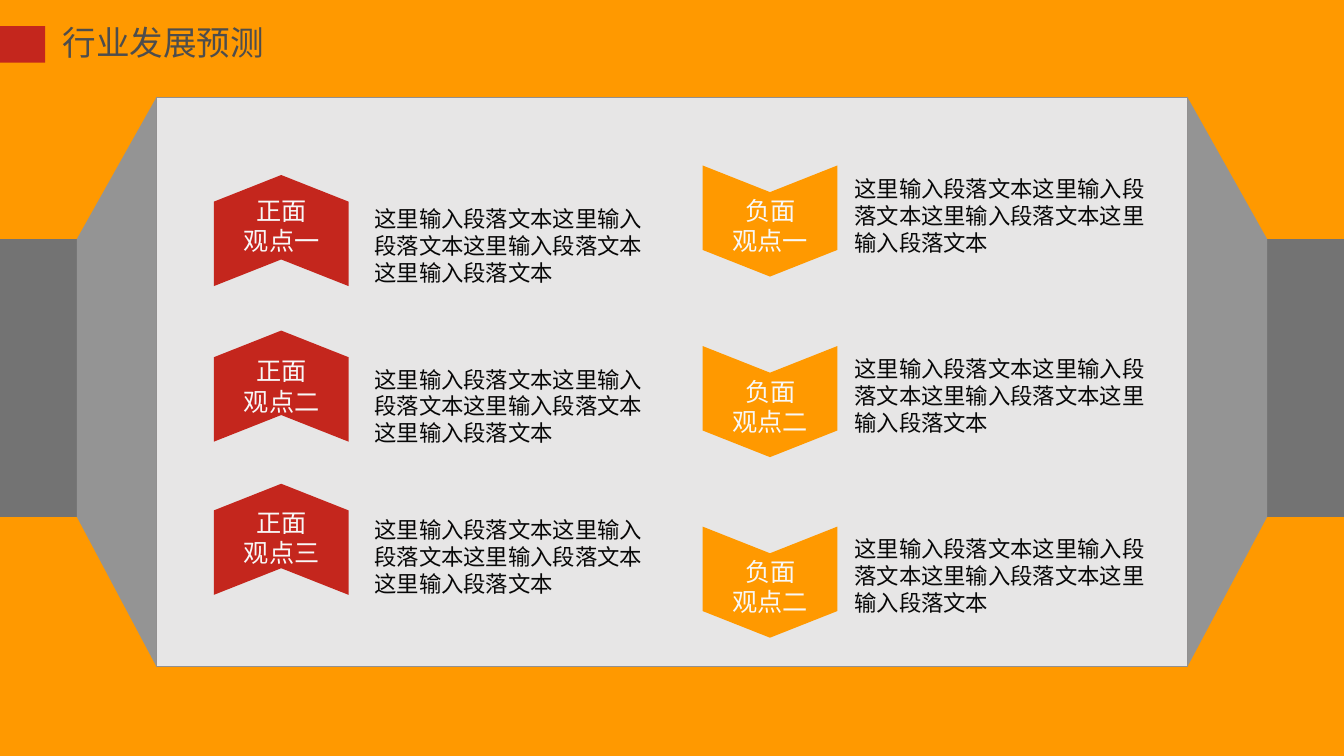
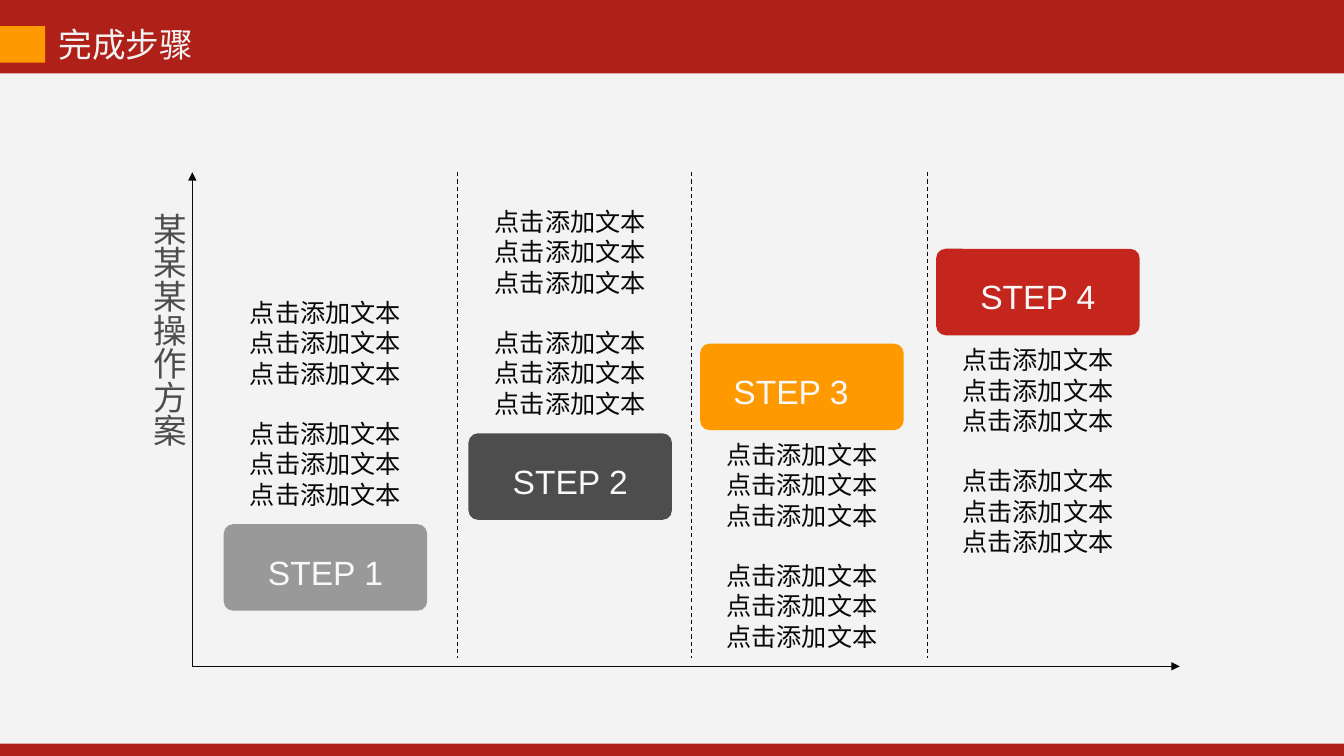
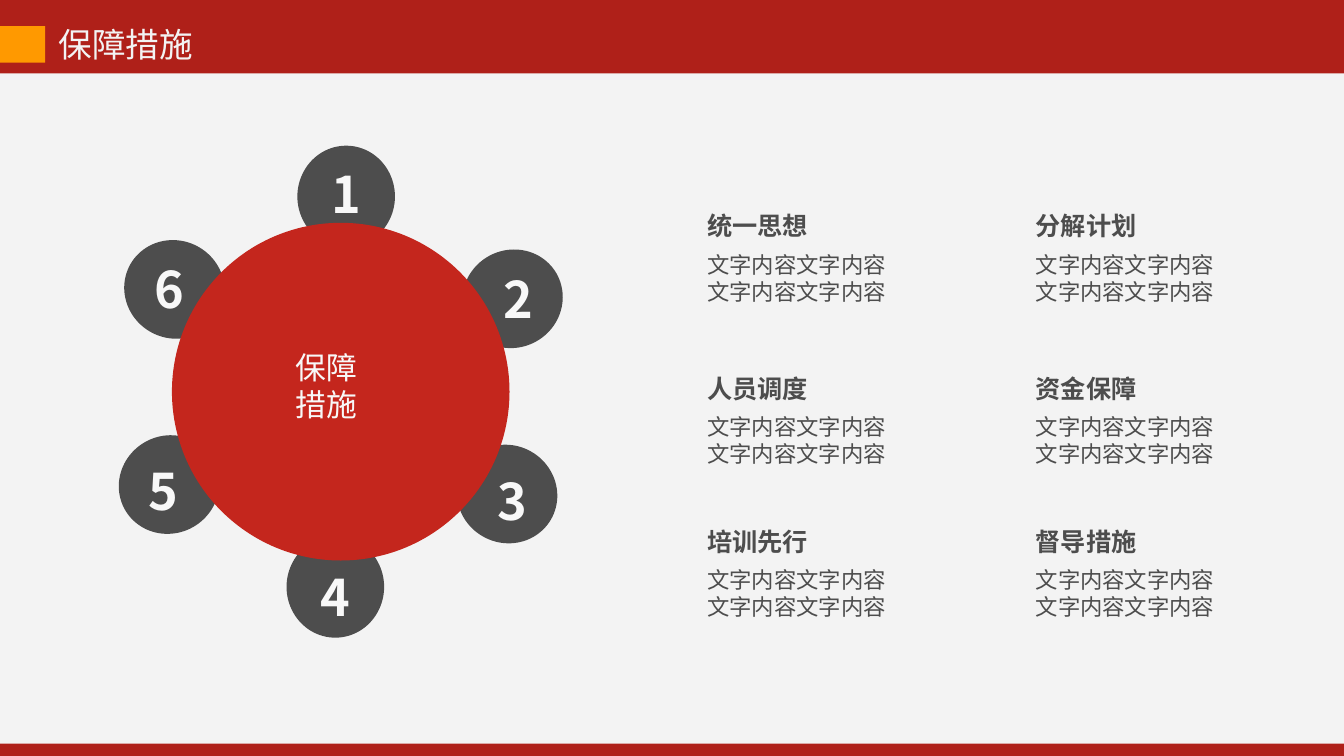
from math import cos, radians, sin

from lxml import etree
from pptx import Presentation
from pptx.dml.color import RGBColor
from pptx.enum.dml import MSO_LINE
from pptx.enum.shapes import MSO_CONNECTOR, MSO_SHAPE
from pptx.enum.text import MSO_ANCHOR, MSO_AUTO_SIZE, PP_ALIGN
from pptx.oxml.ns import qn
from pptx.util import Cm, Pt

RECT, ROUND = MSO_SHAPE.RECTANGLE, MSO_SHAPE.ROUNDED_RECTANGLE
OVAL, CHEVRON = MSO_SHAPE.OVAL, MSO_SHAPE.CHEVRON
LINE, DASH = MSO_CONNECTOR.STRAIGHT, MSO_LINE.DASH
LEFT, CENTER = PP_ALIGN.LEFT, PP_ALIGN.CENTER
TOP, MIDDLE = MSO_ANCHOR.TOP, MSO_ANCHOR.MIDDLE
FIXED = MSO_AUTO_SIZE.NONE

WIDE, HIGH = 33.88, 19.05
HAN, LATIN = "Noto Sans CJK SC", "Arial"
LEAD = 1.2  # line height in ems
COLORS = {
    "red": "C4261D", "band": "AF2019", "orange": "FF9900",
    "dark": "4D4D4D", "gray": "999999", "strip": "737373",
    "wing": "949494", "board": "E7E6E6", "edge": "929090",
    "paper": "F3F3F3", "white": "F8F8F8", "ink": "080808",
}


def color(name):
    return RGBColor.from_string(COLORS[name])


# Basic elements
def paint(shape, fill, edge=None):
    shape.shadow.inherit = False
    shape.fill.solid()
    shape.fill.fore_color.rgb = color(fill)
    if edge:
        shape.line.color.rgb = color(edge)
        shape.line.width = Pt(0.75)
    else:
        shape.line.fill.background()
    return shape


def block(slide, kind, x, y, w, h, fill, edge=None, turn=0, adjust=None):
    shape = slide.shapes.add_shape(kind, Cm(x), Cm(y), Cm(w), Cm(h))
    shape.rotation = turn
    if adjust is not None:
        shape.adjustments[0] = adjust
    return paint(shape, fill, edge)


def outline(slide, points, fill):
    (x, y), *rest = [(Cm(a), Cm(b)) for a, b in points]
    pen = slide.shapes.build_freeform(x, y)
    pen.add_line_segments(rest, close=True)
    return paint(pen.convert_to_shape(), fill)


def write(shape, lines, size, tint, align=LEFT, bold=False, font=HAN,
          wrap=True, anchor=TOP, gaps=()):
    """Fill a shape, one paragraph a line; gaps lists lines set one line lower."""
    frame = shape.text_frame
    frame.auto_size = FIXED
    frame.word_wrap = wrap
    frame.vertical_anchor = anchor
    for i, line in enumerate(lines):
        para = frame.add_paragraph() if i else frame.paragraphs[0]
        para.alignment = align
        para.line_spacing = Pt(size * LEAD)
        para.space_before = Pt(size * LEAD if i in gaps else 0)
        run = para.add_run()
        run.text = line
        run.font.size = Pt(size)
        run.font.bold = bold
        run.font.name = font
        run.font.color.rgb = color(tint)
        east = etree.SubElement(run.font._element, qn("a:ea"))
        east.set("typeface", font)
    return frame


def label(slide, x, y, w, h, lines, size, tint, **style):
    box = slide.shapes.add_textbox(Cm(x), Cm(y), Cm(w), Cm(h))
    return write(box, lines, size, tint, **style)


def rule(slide, x1, y1, x2, y2, arrow=False):
    line = slide.shapes.add_connector(LINE, Cm(x1), Cm(y1), Cm(x2), Cm(y2))
    line.line.color.rgb = color("ink")
    line.line.width = Pt(0.75)
    if arrow:
        tail = etree.SubElement(line.line._get_or_add_ln(), qn("a:tailEnd"))
        tail.set("type", "triangle")
    else:
        line.line.dash_style = DASH
    etree.SubElement(line._element.spPr, qn("a:effectLst"))


# Shared frame of the slides
def start(deck, title, back, tag, tint, x, y):
    slide = deck.slides.add_slide(deck.slide_layouts[5])
    slide.background.fill.solid()
    slide.background.fill.fore_color.rgb = color(back)
    head = slide.shapes.title
    head.left, head.top, head.width, head.height = Cm(x), Cm(y), Cm(12), Cm(1.27)
    write(head, [title], 24, tint)
    block(slide, RECT, 0, 0.66, 1.14, 0.92, tag)
    return slide


def page(deck, title):
    slide = start(deck, title, "band", "orange", "paper", 1.22, 0.48)
    block(slide, RECT, 0, 1.85, WIDE, 16.89, "paper")
    return slide


# Slide 1: views for and against
def view(slide, name, x, turn, fill, body_x, body_w, tops):
    body = "这里输入段落文本" * 4
    for number, (mark_y, name_y, body_y) in tops:
        block(slide, CHEVRON, x, mark_y, 2.8, 3.4, fill, turn=turn, adjust=0.24)
        label(slide, x + 0.19, name_y, 2.44, 1.8, [name, "观点" + number],
              18, "white", align=CENTER, wrap=False)
        label(slide, body_x, body_y, body_w, 2.31, [body], 16, "ink")


def outlook(deck):
    slide = start(deck, "行业发展预测", "orange", "red", "dark", 1.32, 0.43)
    strip = [(0, 6.02), (1.94, 6.02), (1.94, 13.03), (0, 13.03)]
    wing = [(3.94, 2.46), (1.94, 6.02), (1.94, 13.03), (3.94, 16.79)]
    for points, fill in ((strip, "strip"), (wing, "wing")):
        outline(slide, points, fill)
        outline(slide, [(WIDE - x, y) for x, y in points], fill)
    block(slide, RECT, 3.94, 2.46, 26, 14.33, "board", "edge")

    good = [(4.11, 4.8, 5.05), (8.03, 8.84, 9.09), (11.89, 12.65, 12.88)]
    bad = [(3.87 + 4.55 * i, 4.8 + 4.55 * i, 4.3 + 4.53 * i) for i in range(3)]
    view(slide, "正面", 5.69, 270, "red", 9.19, 7.37, zip("一二三", good))
    view(slide, "负面", 18.01, 90, "orange", 21.29, 7.87, zip("一二二", bad))


# Slide 2: rising steps between two axes
def steps(deck):
    slide = page(deck, "完成步骤")
    left, base, top = 4.85, 16.79, 4.34
    rule(slide, left, base, left, top, arrow=True)
    rule(slide, left, base, 29.74, base, arrow=True)
    for x in (11.53, 17.42, 23.39):
        rule(slide, x, top, x, 16.59)

    cards = [(5.64, 13.21, "gray"), (11.81, 10.92, "dark"),
             (17.65, 8.66, "orange"), (23.6, 6.27, "red")]
    for i, (x, y, fill) in enumerate(cards, 1):
        card = block(slide, ROUND, x, y, 5.13, 2.18, fill, adjust=0.11)
        frame = write(card, [f"STEP {i}"], 24, "white", font=LATIN,
                      align=LEFT if i == 3 else CENTER, anchor=MIDDLE)
        frame.margin_top = Cm(0.35)
        if i == 3:
            frame.margin_left = Cm(0.77)
        body_y = y - 5.84 if i < 3 else y + 2.29
        label(slide, x, body_y, 5.13, 5.64, ["点击添加文本"] * 6, 18, "ink",
              align=CENTER, gaps=(3,))

    axis = label(slide, 3.35, 5.11, 1.55, 6.88, ["某某某操作方案"], 24, "dark")
    axis._element.bodyPr.set("vert", "eaVert")


# Slide 3: six measures around a disk
def measures(deck):
    slide = page(deck, "保障措施")
    mid_x, mid_y, disk = 8.59, 9.87, 8.51

    def spot(reach, turn):
        angle = radians(turn + 1.6)
        return mid_x + reach * sin(angle), mid_y - reach * cos(angle)

    for i in range(6):
        turn = 60 * i
        x, y = spot(4.92, turn)
        block(slide, OVAL, x - 1.23, y - 1.28, 2.46, 2.56, "dark", turn=turn)
        x, y = spot(5.08, turn)
        label(slide, x - 0.65, y - 0.83, 1.3, 1.8, [str(i + 1)], 36, "white",
              align=CENTER, bold=True, wrap=False, anchor=MIDDLE)
    block(slide, OVAL, mid_x - disk / 2, mid_y - disk / 2, disk, disk, "red")
    label(slide, 7.21, 8.66, 2.08, 2.13, ["保障", "措施"], 22, "white", wrap=False)

    rows = [(5.18, ("统一思想", "分解计划")), (9.27, ("人员调度", "资金保障")),
            (13.13, ("培训先行", "督导措施"))]
    for y, names in rows:
        for x, name in zip((17.58, 25.86), names):
            label(slide, x, y, 5.59, 1.02, [name], 18, "dark", bold=True)
            label(slide, x, y + 1.02, 5.59, 1.63, ["文字内容文字内容"] * 2, 16, "dark")


def main():
    deck = Presentation()
    deck.slide_width, deck.slide_height = Cm(WIDE), Cm(HIGH)
    outlook(deck)
    steps(deck)
    measures(deck)
    deck.save("out.pptx")


if __name__ == "__main__":
    main()
